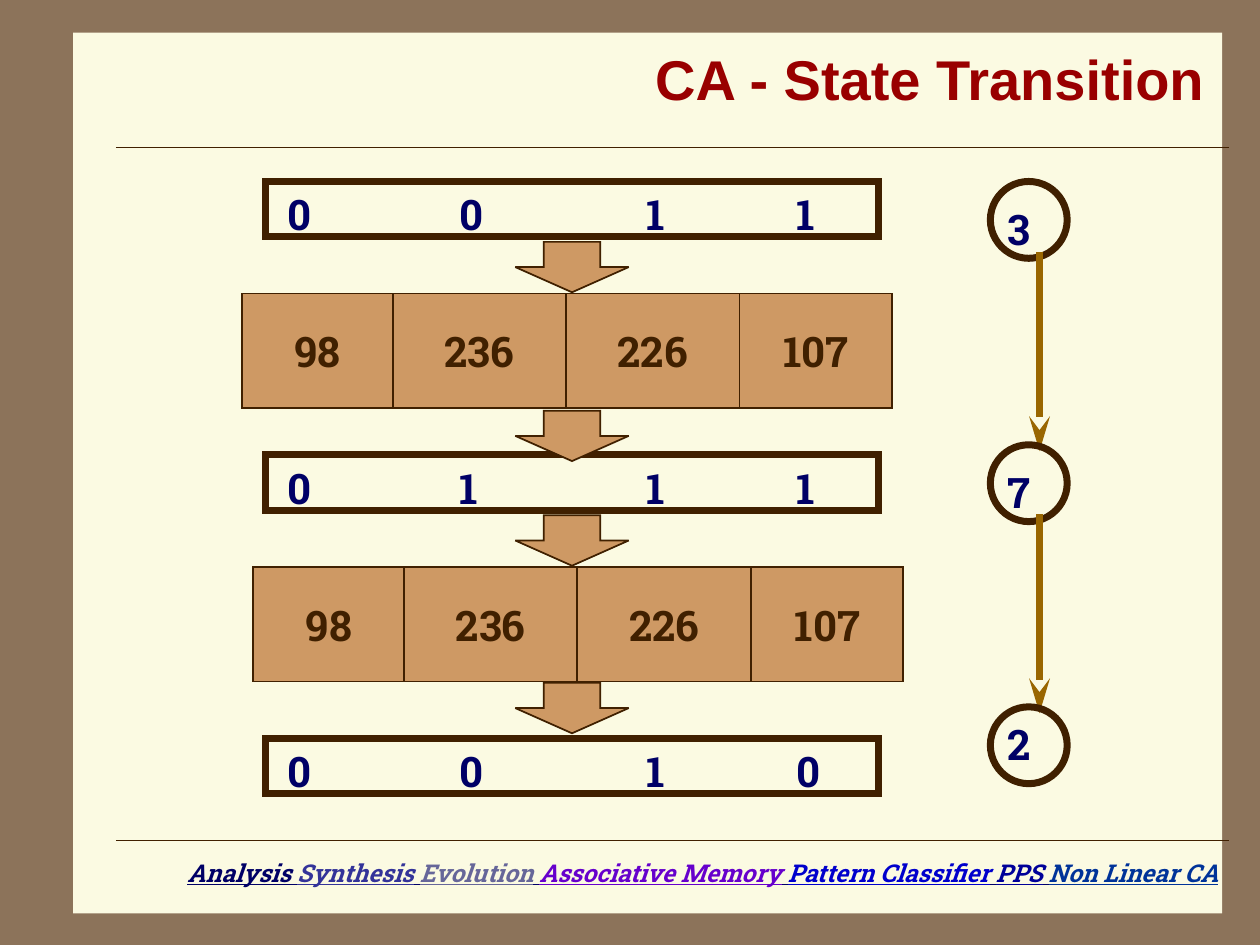
from dataclasses import dataclass
from itertools import accumulate

from lxml.etree import SubElement
from pptx import Presentation
from pptx.dml.color import RGBColor
from pptx.enum.shapes import MSO_CONNECTOR as CONN, MSO_SHAPE as SHAPE
from pptx.enum.text import MSO_ANCHOR as ANCHOR, MSO_AUTO_SIZE as FIT, PP_ALIGN as ALIGN
from pptx.oxml.ns import qn
from pptx.util import Inches, Pt


@dataclass(frozen=True)
class Theme:
    frame: str = "8C735A"
    paper: str = "FBFAE2"
    dark: str = "402000"
    rule: str = "CE9964"
    arrow: str = "996600"
    title: str = "990000"
    digit: str = "000066"
    title_font: str = "Arial"
    font: str = "Roboto Slab"
    title_size: int = 32
    size: int = 24
    footer_size: int = 14
    thin: int = 1
    thick: int = 4


T = Theme()

FOOTER = [("Analysis ", "000066"), ("Synthesis", "333399"), ("Evolution", "666699"),
          ("Associative Memory", "6600CC"), ("Pattern Classifier", "0000CC"),
          ("PPS", "000099"), ("Non Linear CA", "003399")]
STATES = [(1.44, "0011"), (3.61, "0111"), (5.86, "0010")]
BIT_LEFTS = [2.18, 3.55, 5.03, 6.22]
RULES = ["98", "236", "226", "107"]
RULE_WIDTHS = [1.2, 1.37, 1.38, 1.21]
RULE_ROWS = [(1.92, 2.33), (2.01, 4.5)]
DOWN_ARROWS = [1.92, 3.26, 4.09, 5.42]
NODES = ["3", "7", "2"]
NODE_TOPS = [1.44, 3.53, 5.61]
NODE_TEXT_TOPS = [1.57, 3.65, 5.65]


def rgb(value):
    return RGBColor.from_string(value)


def add_run(p, text, color=T.digit, size=T.size, font=T.font, italic=None, underline=None):
    r = p.add_run()
    r.text = text
    f = r.font
    f.name, f.size, f.bold = font, Pt(size), True
    f.italic, f.underline = italic, underline
    f.color.rgb = rgb(color)


def add_text(slide, text, left, top, width, height):
    tf = slide.shapes.add_textbox(*map(Inches, (left, top, width, height))).text_frame
    tf.word_wrap = True
    if text:
        add_run(tf.paragraphs[0], text)
    return tf


def add_shape(slide, kind, left, top, width, height, fill=None, line=T.dark, weight=T.thin):
    sp = slide.shapes.add_shape(kind, *map(Inches, (left, top, width, height)))
    sp.shadow.inherit = False
    if fill:
        sp.fill.solid()
        sp.fill.fore_color.rgb = rgb(fill)
    else:
        sp.fill.background()
    if line:
        sp.line.color.rgb = rgb(line)
        sp.line.width = Pt(weight)
        SubElement(sp.line._get_or_add_ln(), qn("a:miter"), lim="800000")
    else:
        sp.line.fill.background()
    return sp


def add_line(slide, x1, y1, x2, y2, color=T.dark, weight=T.thin, head=None):
    c = slide.shapes.add_connector(CONN.STRAIGHT, *map(Inches, (x1, y1, x2, y2)))
    c.line.color.rgb = rgb(color)
    c.line.width = Pt(weight)
    if head:
        SubElement(c.line._get_or_add_ln(), qn("a:tailEnd"), type=head, w="med", len="lg")
    SubElement(c._element.spPr, qn("a:effectLst"))


def add_frame(slide):
    slide.background.fill.solid()
    slide.background.fill.fore_color.rgb = rgb(T.frame)
    add_shape(slide, SHAPE.RECTANGLE, 0.58, 0.26, 9.12, 6.99, fill=T.paper, line=None)
    for y in (1.17, 6.67):
        add_line(slide, 0.92, y, 9.75, y)
    p = add_text(slide, "", 0.6, 6.76, 9.17, 0.57).paragraphs[0]
    p.alignment = ALIGN.RIGHT
    style = dict(size=T.footer_size, italic=True, underline=True)
    for i, (text, color) in enumerate(FOOTER):
        if i > 1:
            add_run(p, " ", **style)
        add_run(p, text, color=color, **style)


def add_title(slide, text):
    sp = slide.shapes.title
    sp.left, sp.top, sp.width, sp.height = map(Inches, (1.08, 0.08, 8.58, 1.08))
    tf = sp.text_frame
    tf.auto_size, tf.vertical_anchor = FIT.NONE, ANCHOR.MIDDLE
    p = tf.paragraphs[0]
    p.alignment = ALIGN.RIGHT
    add_run(p, text, color=T.title, size=T.title_size, font=T.title_font)
    slide.shapes._spTree.append(sp._element)


def add_state(slide, top, bits):
    for left, bit in zip(BIT_LEFTS, bits):
        add_text(slide, bit, left, top + 0.01, 0.42, 0.5)
    add_shape(slide, SHAPE.RECTANGLE, 2.11, top, 4.86, 0.44, weight=T.thick)


def add_rules(slide, left, top):
    lefts = accumulate(RULE_WIDTHS, initial=left)
    for x, width, rule in zip(lefts, RULE_WIDTHS, RULES):
        sp = add_shape(slide, SHAPE.RECTANGLE, x, top, width, 0.91, fill=T.rule)
        tf = sp.text_frame
        tf.vertical_anchor = ANCHOR.MIDDLE
        p = tf.paragraphs[0]
        p.alignment = ALIGN.CENTER
        add_run(p, rule, color=T.dark)


def add_nodes(slide):
    for i, (label, top, text_top) in enumerate(zip(NODES, NODE_TOPS, NODE_TEXT_TOPS)):
        add_text(slide, label, 7.9, text_top, 0.42, 0.5)
        if i:
            add_line(slide, 8.25, top - 1.53, 8.25, top + 0.05,
                     color=T.arrow, weight=T.thick, head="stealth")
        add_shape(slide, SHAPE.OVAL, 7.86, top, 0.61, 0.61, weight=T.thick)


def main():
    prs = Presentation()
    prs.slide_width, prs.slide_height = Inches(10), Inches(7.5)
    slide = prs.slides.add_slide(prs.slide_layouts[5])
    add_frame(slide)
    add_title(slide, "CA - State Transition")
    for top, bits in STATES:
        add_state(slide, top, bits)
    for left, top in RULE_ROWS:
        add_rules(slide, left, top)
    for top in DOWN_ARROWS:
        add_shape(slide, SHAPE.DOWN_ARROW, 4.09, top, 0.9, 0.4, fill=T.rule)
    add_nodes(slide)
    prs.save("out.pptx")


if __name__ == "__main__":
    main()
